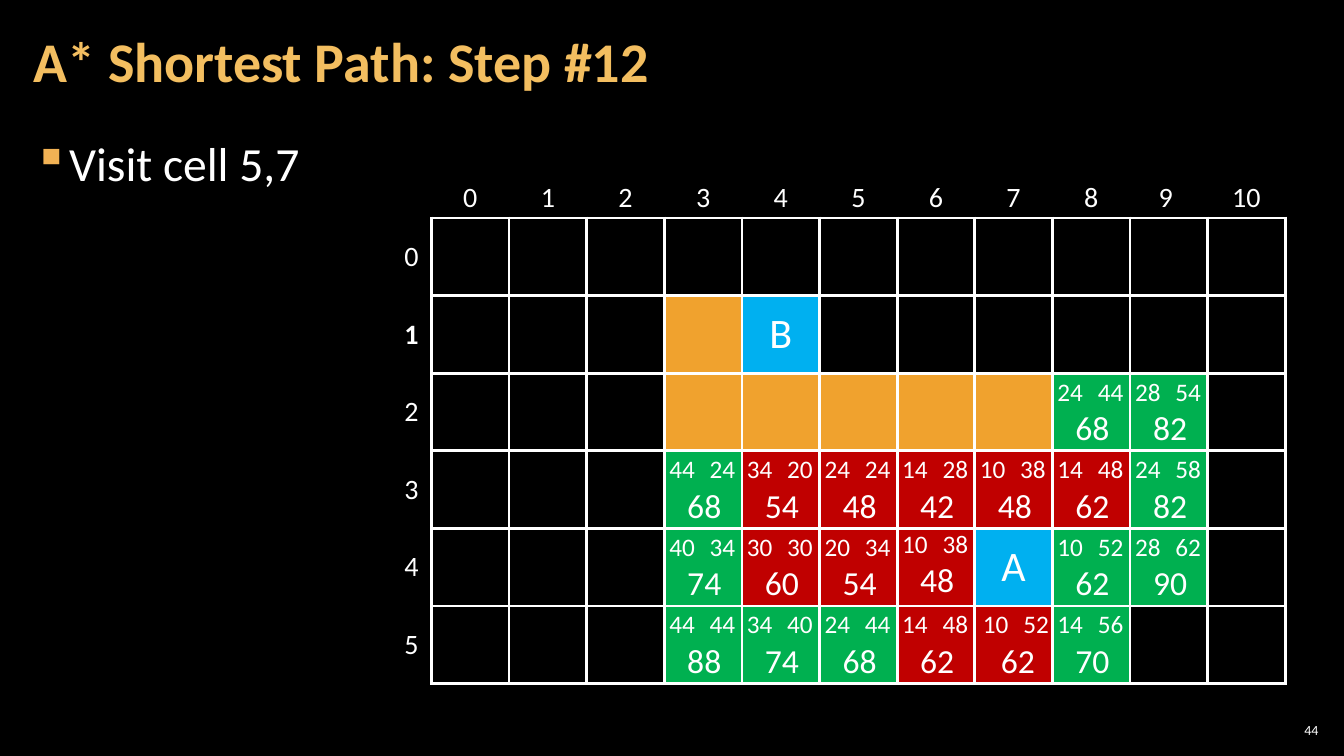
from lxml import etree
from pptx import Presentation
from pptx import util as u
from pptx.dml.color import RGBColor
from pptx.enum import text
from pptx.oxml import ns

THEME = {
    "font": "Calibri",
    "black": RGBColor.from_string("000000"),
    "white": RGBColor.from_string("FFFFFF"),
    "gold": RGBColor.from_string("F3BE60"),
    "bullet": "F2B254",
    "title": 40, "body": 34, "endpoint": 30, "total": 24,
    "index": 20, "cost": 18, "page": 10,
    "line": 2.25,
}
# Kinds of cell: w wall, o open, v visited, A start, B goal
FILLS = {
    kind: RGBColor.from_string(code)
    for kind, code in {"w": "F0A22E", "o": "00B050", "v": "C00000",
                       "A": "00B0F0", "B": "00B0F0"}.items()
}
MAZE = [
    "...........",
    "...wB......",
    "...wwwwwoo.",
    "...ovvvvvo.",
    "...ovvvAoo.",
    "...ooovvo..",
]
# Distance from A and distance to B, in reading order of open and visited cells
COSTS = iter([
    (24, 44), (28, 54),
    (44, 24), (34, 20), (24, 24), (14, 28), (10, 38), (14, 48), (24, 58),
    (40, 34), (30, 30), (20, 34), (10, 38), (10, 52), (28, 62),
    (44, 44), (34, 40), (24, 44), (14, 48), (10, 52), (14, 56),
])
NUDGES = {(4, 6): (0, -0.04), (5, 7): (0.04, 0)}  # in cells

WIDTH, HEIGHT = 13.33, 7.5
CELL, HEAD = 0.77, 0.4
LEFT, TOP = 3.88, 1.75
ROWS, COLUMNS = len(MAZE), len(MAZE[0])


def write(frame, words, size, color=THEME["white"], bold=False, align=None):
    frame.text = words
    para = frame.paragraphs[0]
    para.alignment = align
    for span in para.runs:
        span.font.name = THEME["font"]
        span.font.size = u.Pt(size)
        span.font.bold = bold
        span.font.color.rgb = color
    return para


def add_box(shapes, left, top, width, height, inset=(0.1, 0.05)):
    box = shapes.add_textbox(*map(u.Inches, (left, top, width, height)))
    frame = box.text_frame
    frame.word_wrap = True
    frame.margin_left = frame.margin_right = u.Inches(inset[0])
    frame.margin_top = frame.margin_bottom = u.Inches(inset[1])
    return frame


deck = Presentation()
deck.slide_width, deck.slide_height = u.Inches(WIDTH), u.Inches(HEIGHT)
page = deck.slides.add_slide(deck.slide_layouts[6])
page.background.fill.solid()
page.background.fill.fore_color.rgb = THEME["black"]

# Page number
number = add_box(page.shapes, WIDTH * 0.949, HEIGHT * 0.952,
                 WIDTH * 0.035, HEIGHT * 0.028, (0.04, 0.04))
number.vertical_anchor = text.MSO_ANCHOR.MIDDLE
write(number, "44", THEME["page"], align=text.PP_ALIGN.RIGHT)

# Bullet
body = add_box(page.shapes, WIDTH * 0.016, HEIGHT * 0.168,
               WIDTH * 0.968, HEIGHT * 0.812, (0.12, 0.04))
para = write(body, "Visit cell 5,7", THEME["body"])
para.line_spacing = 1.05
para.space_after = u.Pt(6)
properties = para._p.get_or_add_pPr()
properties.set("marL", str(u.Inches(0.33)))
properties.set("indent", str(u.Inches(-0.33)))
bullet_color = etree.SubElement(properties, ns.qn("a:buClr"))
etree.SubElement(bullet_color, ns.qn("a:srgbClr"), val=THEME["bullet"])
etree.SubElement(properties, ns.qn("a:buChar"), char="▪")

# Title
title = add_box(page.shapes, WIDTH * 0.016, HEIGHT * 0.005,
                WIDTH * 0.785, HEIGHT * 0.161, (0.12, 0.04))
title.vertical_anchor = text.MSO_ANCHOR.MIDDLE
write(title, "A* Shortest Path: Step #12", THEME["title"], THEME["gold"],
      bold=True).line_spacing = 0.9

# Maze table with an index row and an index column
table = page.shapes.add_table(
    ROWS + 1, COLUMNS + 1, u.Inches(LEFT), u.Inches(TOP),
    u.Inches(HEAD + COLUMNS * CELL), u.Inches(HEAD + ROWS * CELL)).table
table.first_row = table.horz_banding = False
for index, column in enumerate(table.columns):
    column.width = u.Inches(CELL if index else HEAD)
for index, row in enumerate(table.rows):
    row.height = u.Inches(CELL if index else HEAD)

for row in range(ROWS + 1):
    for column in range(COLUMNS + 1):
        cell = table.cell(row, column)
        cell.vertical_anchor = text.MSO_ANCHOR.MIDDLE
        cell.margin_left = cell.margin_right = u.Inches(0.08)
        cell.margin_top = cell.margin_bottom = u.Inches(0.04)
        kind = MAZE[row - 1][column - 1] if row and column else "."
        words, size = "", THEME["index"]
        if kind in "AB":
            words, size = kind, THEME["endpoint"]
        elif row == 0 and column:
            words = "9 " if column == 10 else str(column - 1)
        elif column == 0 and row:
            words = str(row - 1)
        if words:
            write(cell.text_frame, words, size, bold=(row, column) == (2, 0),
                  align=text.PP_ALIGN.CENTER)

        # Index cells keep only the side that touches the maze
        if row and column:
            sides = "LRTB"
        elif row:
            sides = "R"
        else:
            sides = "B" if column else ""
        cell_properties = cell._tc.get_or_add_tcPr()
        for side in "LRTB":
            line = etree.SubElement(cell_properties, ns.qn("a:ln" + side),
                                    w=str(u.Pt(THEME["line"])))
            if side in sides:
                paint = etree.SubElement(line, ns.qn("a:solidFill"))
                etree.SubElement(paint, ns.qn("a:srgbClr"),
                                 val=str(THEME["white"]))
            else:
                etree.SubElement(line, ns.qn("a:noFill"))
        if kind in FILLS:
            cell.fill.solid()
            cell.fill.fore_color.rgb = FILLS[kind]
        else:
            cell.fill.background()

# Costs of the open and visited cells: two distances above their sum
for row, kinds in enumerate(MAZE):
    for column, kind in enumerate(kinds):
        if kind not in "ov":
            continue
        right, down = NUDGES.get((row, column), (0, 0))
        x = LEFT + HEAD + (column + right) * CELL
        y = TOP + HEAD + (row + down) * CELL
        start, goal = next(COSTS)
        group = page.shapes.add_group_shape()
        total = add_box(group.shapes, x + 0.02, y + 0.3, 0.75, 0.5)
        write(total, str(start + goal), THEME["total"],
              align=text.PP_ALIGN.CENTER)
        for offset, cost in ((-0.05, start), (0.35, goal)):
            label = add_box(group.shapes, x + offset, y - 0.01, 0.5, 0.4)
            write(label, str(cost), THEME["cost"])

deck.save("out.pptx")
